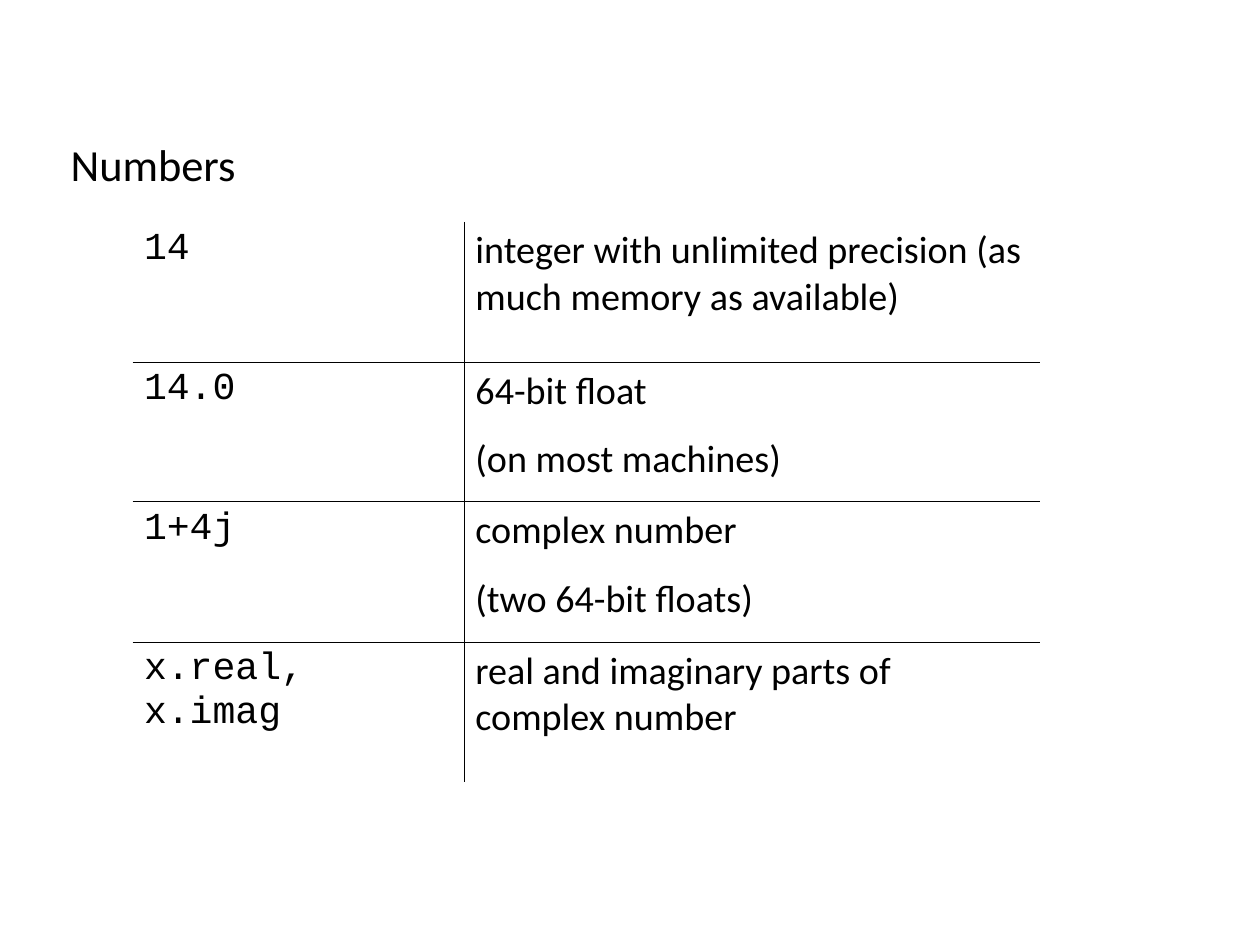
from lxml.etree import SubElement
from pptx import Presentation
from pptx.dml.color import RGBColor
from pptx.oxml.ns import qn
from pptx.util import Cm, Inches, Pt

BLACK = RGBColor(0x00, 0x00, 0x00)
BORDER_WIDTH = Pt(0.45)
COLUMN_WIDTHS = [2.9, 5.04]
ROW_HEIGHTS = [1.23, 1.22, 1.23, 1.22]

NUMBERS = [
    ("14", ["integer with unlimited precision (as much memory as available)"]),
    ("14.0", ["64-bit float", "(on most machines)"]),
    ("1+4j", ["complex number", "(two 64-bit floats)"]),
    ("x.real, x.imag", ["real and imaginary parts of complex number"]),
]


def write(frame, lines, font="Calibri", size=24, space_after=14, line_spacing=1.0):
    frame.word_wrap = True
    for index, line in enumerate(lines):
        paragraph = frame.add_paragraph() if index else frame.paragraphs[0]
        paragraph.space_after = Pt(space_after)
        paragraph.line_spacing = line_spacing
        run = paragraph.add_run()
        run.text = line
        run.font.name = font
        run.font.size = Pt(size)
        run.font.color.rgb = BLACK


def set_borders(cell, visible):
    """Draw a thin line on each side in visible and clear the other sides."""
    properties = cell._tc.get_or_add_tcPr()
    for side in ("L", "R", "T", "B"):
        border = SubElement(properties, qn(f"a:ln{side}"), w=str(BORDER_WIDTH))
        if side in visible:
            fill = SubElement(border, qn("a:solidFill"))
            SubElement(fill, qn("a:srgbClr"), val=str(BLACK))
        else:
            SubElement(border, qn("a:noFill"))


prs = Presentation()
prs.slide_width = Cm(28)
prs.slide_height = Cm(21)
slide = prs.slides.add_slide(prs.slide_layouts[6])

heading = slide.shapes.add_textbox(Inches(0.52), Inches(0.92), Inches(2.65), Inches(0.8))
write(heading.text_frame, ["Numbers"], size=28, space_after=0, line_spacing=1.5)

numbers_table = slide.shapes.add_table(
    len(NUMBERS), len(COLUMN_WIDTHS), Inches(1.16), Inches(1.94),
    Inches(sum(COLUMN_WIDTHS)), Inches(sum(ROW_HEIGHTS))).table
numbers_table.first_row = False
numbers_table.horz_banding = False
for column, width in zip(numbers_table.columns, COLUMN_WIDTHS):
    column.width = Inches(width)

last_row = len(NUMBERS) - 1
for row, (literal, meaning) in enumerate(NUMBERS):
    numbers_table.rows[row].height = Inches(ROW_HEIGHTS[row])
    row_sides = ("T" if row > 0 else "") + ("B" if row < last_row else "")
    columns = [([literal], "Courier New", "R"), (meaning, "Calibri", "L")]
    for col, (lines, font, inner_side) in enumerate(columns):
        cell = numbers_table.cell(row, col)
        write(cell.text_frame, lines, font=font)
        set_borders(cell, row_sides + inner_side)
        cell.fill.background()

prs.save("out.pptx")
